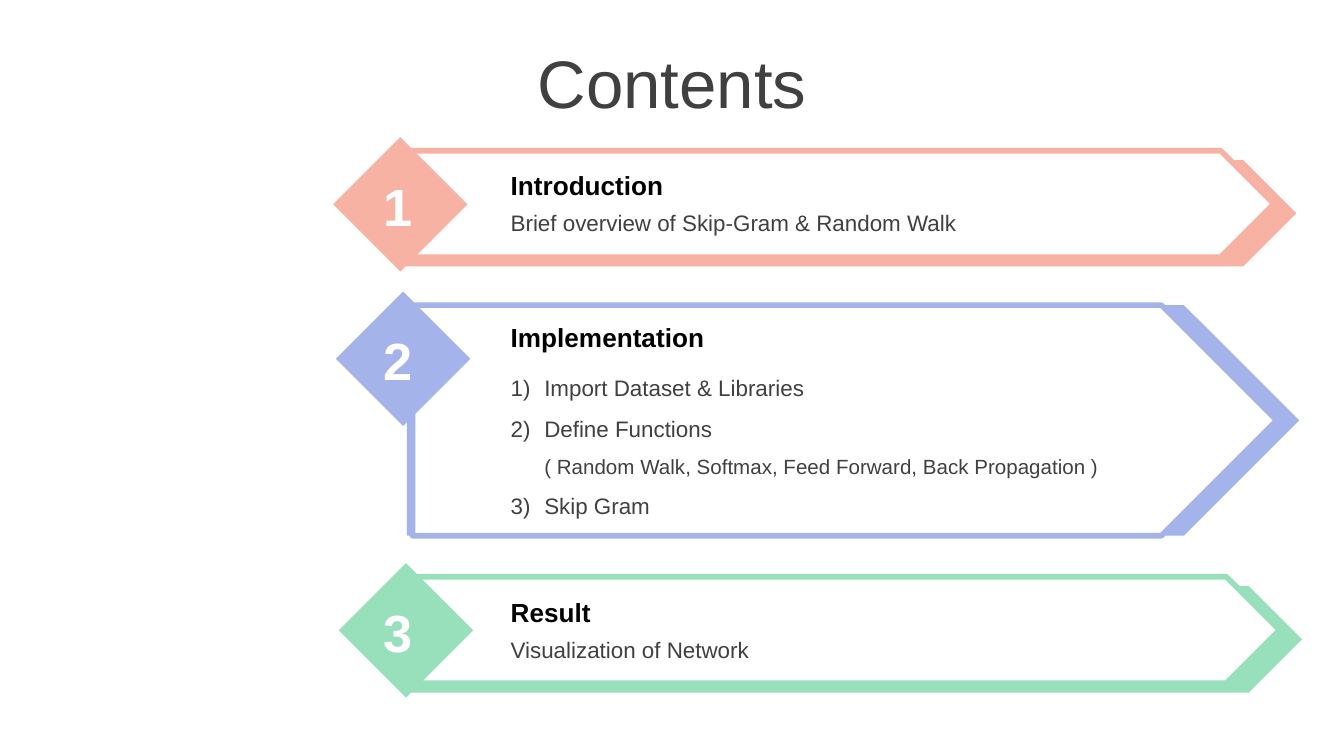
from lxml import etree
from pptx import Presentation, util as u
from pptx.dml.color import RGBColor
from pptx.enum import shapes, text
from pptx.oxml.ns import qn

Pt = u.Pt

# Content: each section has a diamond position, panel offsets and text offsets
TITLE = "Contents"
SECTIONS = [
    dict(number="1 ", color="F8B2A3", diamond=(178.5, 73.5), height=57,
         back_drop=5, front=(0, 466), heading="Introduction", heading_dy=13.5,
         body=[["Brief overview of Skip-Gram & Random Walk"]]),
    dict(number="2 ", color="A4B4EA", diamond=(180, 156.25), height=123.5,
         back_drop=0, front=(3, 463), heading="Implementation", heading_dy=12.25,
         numbered=True,
         body=[["Import Dataset & Libraries"],
               ["Define Functions",
                "( Random Walk, Softmax, Feed Forward, Back Propagation )"],
               ["Skip Gram"]]),
    dict(number="3 ", color="98DFBB", diamond=(181.5, 301.75), height=57,
         back_drop=5, front=(0, 466), heading="Result", heading_dy=14,
         body=[["Visualization of Network"]]),
]

THEME = dict(font="Arial", white="FFFFFF", black="000000", gray="404040",
             title=36, number=28, heading=14, body=12, detail=11, outline=3)

DIAMOND = 72
PANEL_DX, PANEL_DY, BACK_WIDTH = 38, 7.25, 478
NUMBER_X, NUMBER_DY = 197.25, 16
TEXT_X, TEXT_WIDTH, BODY_GAP = 266.5, 374.5, 21.4
LIST_INDENT = 18

deck = Presentation()
deck.slide_width, deck.slide_height = Pt(720), Pt(405)
page = deck.slides.add_slide(deck.slide_layouts[6])


def add_shape(kind, left, top, width, height, fill, line=None):
    shape = page.shapes.add_shape(kind, Pt(left), Pt(top), Pt(width), Pt(height))
    shape.shadow.inherit = False
    shape.fill.solid()
    shape.fill.fore_color.rgb = RGBColor.from_string(fill)
    if line:
        shape.line.color.rgb = RGBColor.from_string(line)
        shape.line.width = Pt(THEME["outline"])
    else:
        shape.line.fill.background()


def add_box(left, top, width, height, middle=False):
    box = page.shapes.add_textbox(Pt(left), Pt(top), Pt(width), Pt(height))
    box.text_frame.word_wrap = True
    if middle:
        box.text_frame.vertical_anchor = text.MSO_ANCHOR.MIDDLE
        box.text_frame.paragraphs[0].alignment = text.PP_ALIGN.CENTER
    return box.text_frame


def add_span(para, words, size, color, bold=False):
    span = para.add_run()
    span.text = words
    span.font.name = THEME["font"]
    span.font.size = Pt(THEME[size])
    span.font.bold = bold
    span.font.color.rgb = RGBColor.from_string(THEME[color])


def number_para(para):
    para.line_spacing = 1.5
    properties = para._p.get_or_add_pPr()
    properties.set("marL", str(Pt(LIST_INDENT)))
    properties.set("indent", str(-Pt(LIST_INDENT)))
    etree.SubElement(properties, qn("a:buFont"), typeface="+mj-lt")
    etree.SubElement(properties, qn("a:buAutoNum"), type="arabicParenR")


# Title
frame = add_box(0, 21, 720, 45, middle=True)
add_span(frame.paragraphs[0], TITLE, "title", "gray")

for section in SECTIONS:
    x, y = section["diamond"]
    color, height = section["color"], section["height"]
    panel_x, panel_y = x + PANEL_DX, y + PANEL_DY
    front_dx, front_width = section["front"]

    # Arrow panel and its diamond
    pentagon = shapes.MSO_SHAPE.PENTAGON
    add_shape(pentagon, panel_x, panel_y + section["back_drop"],
              BACK_WIDTH, height, color)
    add_shape(pentagon, panel_x + front_dx, panel_y, front_width, height,
              THEME["white"], color)
    add_shape(shapes.MSO_SHAPE.DIAMOND, x, y, DIAMOND, DIAMOND, color)

    # Number
    frame = add_box(NUMBER_X, y + NUMBER_DY, 31.5, 41, middle=True)
    add_span(frame.paragraphs[0], section["number"], "number", "white", bold=True)

    # Heading
    heading_y = y + section["heading_dy"]
    frame = add_box(TEXT_X, heading_y, TEXT_WIDTH, 24.5)
    add_span(frame.paragraphs[0], section["heading"], "heading", "black", bold=True)

    # Body, with any detail on a second line of its paragraph
    numbered = section.get("numbered", False)
    frame = add_box(TEXT_X, heading_y + BODY_GAP, TEXT_WIDTH,
                    114 if numbered else 21.5)
    for index, lines in enumerate(section["body"]):
        para = frame.add_paragraph() if index else frame.paragraphs[0]
        if numbered:
            number_para(para)
        add_span(para, lines[0], "body", "gray")
        for detail in lines[1:]:
            para.add_line_break()
            add_span(para, detail, "detail", "gray")

deck.save("out.pptx")
